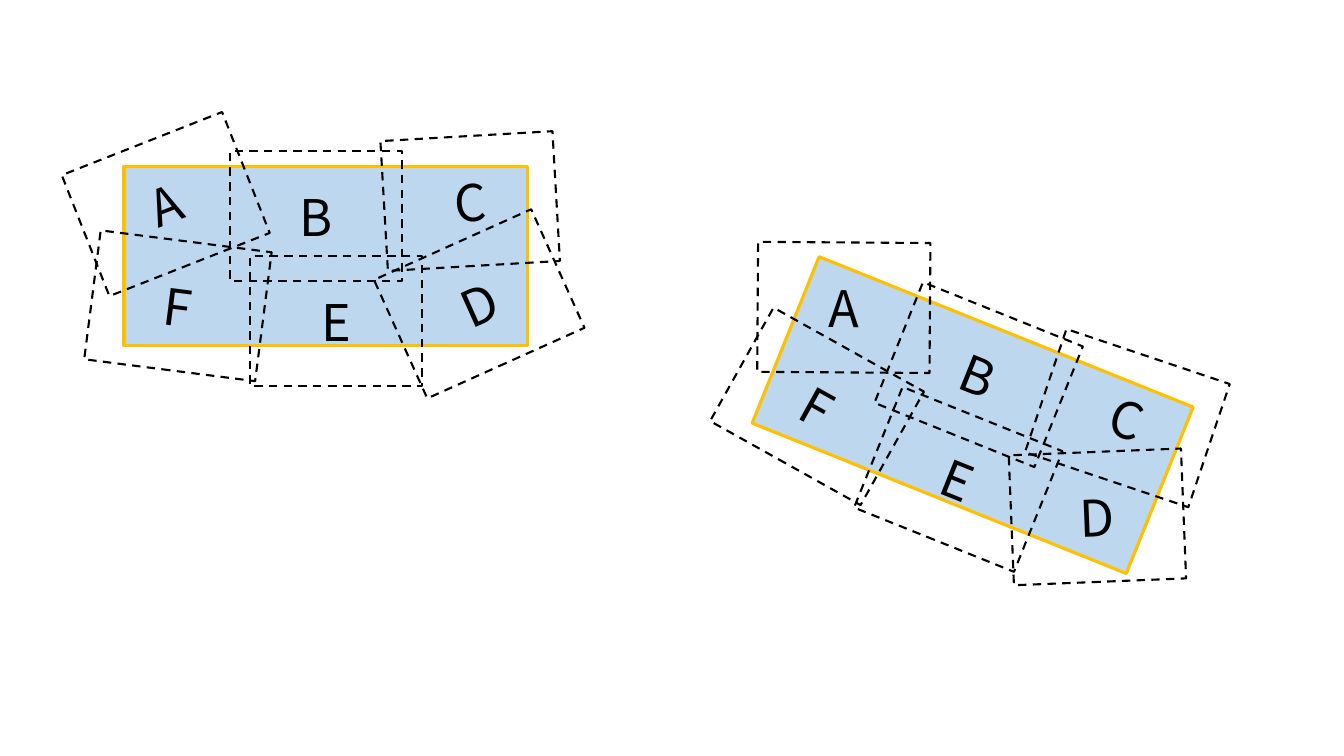
from math import cos, sin, radians
from pptx import Presentation
from pptx.dml.color import RGBColor
from pptx.enum.dml import MSO_LINE_DASH_STYLE as Dash
from pptx.enum.shapes import MSO_SHAPE as Shape
from pptx.enum.text import MSO_ANCHOR as Anchor, PP_ALIGN as Align
from pptx.util import Inches, Pt

COLS = 80
FONT = "Noto Sans CJK SC"
PANEL = (24, 10.68)
TILE = (10.26, 7.74)
TILES = [
    ("A", -9.51, -3.09, -21.5),
    ("B", -0.57, -2.37, 0),
    ("C", 8.61, -3.27, -3.3),
    ("D", 9.15, 2.85, -24.2),
    ("E", 0.63, 3.87, 0),
    ("F", -8.79, 2.97, 7.3),
]
WIDTH, HEIGHT = Inches(13.33), Inches(7.5)
CELL = WIDTH / COLS


def paint(color, value):
    color.rgb = RGBColor.from_string(value)


def add_box(group, center, size, turn, line, weight):
    left, top = [round((c - s / 2) * CELL) for c, s in zip(center, size)]
    width, height = [round(s * CELL) for s in size]
    box = group.shapes.add_shape(Shape.RECTANGLE, left, top, width, height)
    box.rotation = turn % 360
    box.shadow.inherit = False
    paint(box.line.color, line)
    box.line.width = Pt(weight)
    return box


def add_panel(group, center, turn):
    panel = add_box(group, center, PANEL, turn, "FFC000", 2.25)
    panel.fill.solid()
    paint(panel.fill.fore_color, "BDD7EE")


def add_tile(group, center, turn, label):
    tile = add_box(group, center, TILE, turn, "000000", 1.5)
    tile.fill.background()
    tile.line.dash_style = Dash.DASH
    frame = tile.text_frame
    frame.vertical_anchor = Anchor.MIDDLE
    para = frame.paragraphs[0]
    para.text = label
    para.alignment = Align.CENTER
    para.font.name = FONT
    para.font.size = Pt(36)
    paint(para.font.color, "000000")


def add_cover(slide, x, y, turn):
    group = slide.shapes.add_group_shape()
    add_panel(group, (x, y), turn)
    c, s = cos(radians(turn)), sin(radians(turn))
    for label, dx, dy, tilt in TILES:
        center = (x + dx * c - dy * s, y + dx * s + dy * c)
        add_tile(group, center, turn + tilt, label)


def main():
    deck = Presentation()
    deck.slide_width, deck.slide_height = WIDTH, HEIGHT
    slide = deck.slides.add_slide(deck.slide_layouts[6])
    add_cover(slide, 19.38, 15.24, 0)
    add_cover(slide, 57.9, 24.72, 21.9)
    deck.save("out.pptx")


main()
